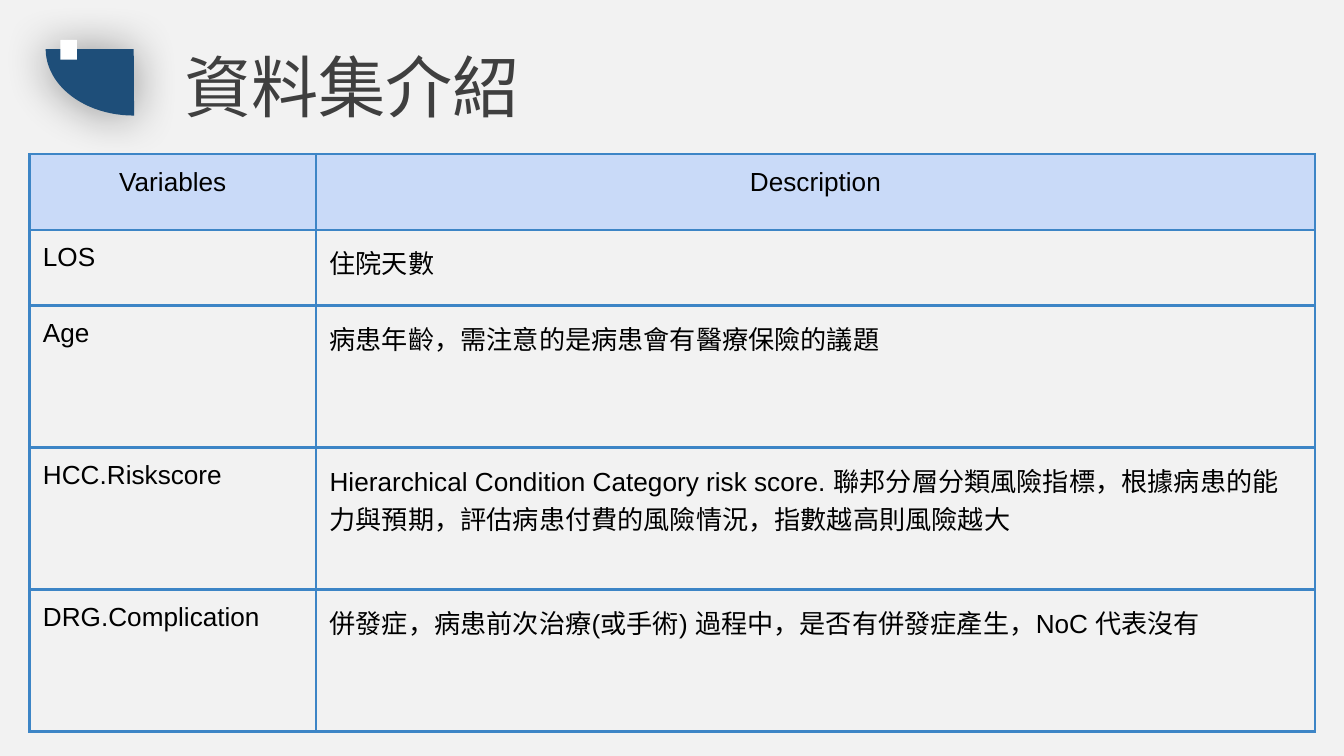
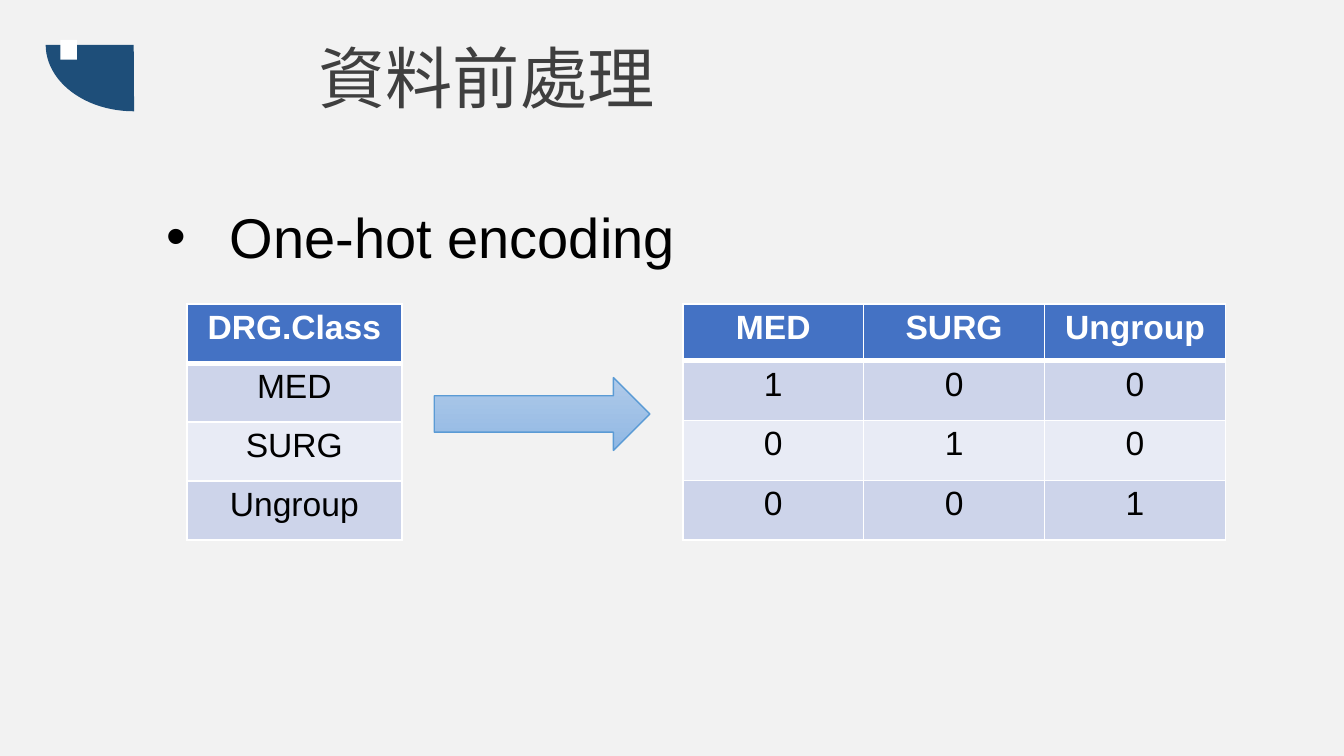
from lxml import etree
from pptx import Presentation
from pptx.dml.color import RGBColor
from pptx.enum.shapes import MSO_SHAPE
from pptx.enum.text import MSO_ANCHOR, PP_ALIGN
from pptx.oxml.ns import qn
from pptx.util import Pt

FONT = "Arial"
HUES = {
    "back": "F2F2F2", "navy": "1E4E79", "white": "FFFFFF", "black": "000000",
    "title": "3F3F3F", "edge": "3D85C6", "pale": "C9DAF8", "head": "4472C4",
    "odd": "CDD4EA", "even": "E8EBF5", "line": "5B9BD5",
    "light": "B0CAE9", "deep": "90B8E4",
}


def hue(name):
    return RGBColor.from_string(HUES[name])


def node(parent, tag, **attrs):
    return etree.SubElement(parent, qn(tag), attrs)


class Deck:
    def __init__(self):
        self.prs = Presentation()
        self.prs.slide_width, self.prs.slide_height = Pt(720), Pt(405)
        self.slide = None

    def start(self):
        self.slide = self.prs.slides.add_slide(self.prs.slide_layouts[6])
        fill = self.slide.background.fill
        fill.solid()
        fill.fore_color.rgb = hue("back")

    def shape(self, kind, box, fill=None, home=None):
        home = home or self.slide.shapes
        item = home.add_shape(kind, *map(Pt, box))
        item.shadow.inherit = False
        item.line.fill.background()
        if fill:
            item.fill.solid()
            item.fill.fore_color.rgb = hue(fill)
        return item

    def badge(self, top, glow=False):
        """Draw the corner mark: glowing, or grouped and flat."""
        home = self.slide.shapes
        if not glow:
            home = home.add_group_shape().shapes
        pie = self.shape(MSO_SHAPE.PIE, (36, top, 71.3, 94.3), "navy", home)
        pie.adjustments[0], pie.adjustments[1] = 107.8, 162
        pie.rotation = 270
        if glow:
            effect = pie._element.spPr.find(qn("a:effectLst"))
            shade = node(effect, "a:outerShdw", blurRad=str(Pt(25)),
                         dist="0", dir="0", algn="ctr", rotWithShape="0")
            tint = node(shade, "a:srgbClr", val=HUES["black"])
            node(tint, "a:alpha", val="40000")
        self.shape(MSO_SHAPE.RECTANGLE, (32.4, 21.4, 8.8, 10.6), "white", home)

    def style(self, para, size, color, bold=False, align=PP_ALIGN.LEFT):
        para.alignment = align
        for run in para.runs:
            run.font.name = FONT
            run.font.size = Pt(size)
            run.font.bold = bold
            run.font.color.rgb = hue(color)

    def text(self, words, box, size, color, align=PP_ALIGN.LEFT,
             anchor=MSO_ANCHOR.TOP, left=5, top=3):
        frame = self.slide.shapes.add_textbox(*map(Pt, box)).text_frame
        frame.word_wrap = True
        frame.vertical_anchor = anchor
        frame.margin_left, frame.margin_right = Pt(left), Pt(5)
        frame.margin_top, frame.margin_bottom = Pt(top), Pt(3)
        frame.text = words
        self.style(frame.paragraphs[0], size, color, align=align)
        return frame.paragraphs[0]

    def title(self, words, top, width, left=5):
        self.text(words, (72, top, width, 49), 36, "title",
                  PP_ALIGN.CENTER, MSO_ANCHOR.MIDDLE, left)

    def bullet(self, words, box, top):
        para = self.text(words, box, 30, "black", top=top)
        props = para._p.get_or_add_pPr()
        props.set("marL", str(Pt(34)))
        props.set("indent", str(-Pt(34)))
        node(node(props, "a:buClr"), "a:srgbClr", val=HUES["black"])
        node(props, "a:buFont", typeface=FONT)
        node(props, "a:buChar", char="•")

    def arrow(self, box):
        item = self.shape(MSO_SHAPE.RIGHT_ARROW, box)
        item.fill.gradient()
        item.fill.gradient_angle = 270
        for stop, name in zip(item.fill.gradient_stops, ("light", "deep")):
            stop.color.rgb = hue(name)
        item.line.color.rgb = hue("line")
        item.line.width = Pt(0.75)

    def edges(self, cell, color, widths):
        """Set the left, right, top and bottom borders of a cell."""
        props = cell._tc.get_or_add_tcPr()
        for side, width in zip("LRTB", widths):
            line = node(props, "a:ln" + side, w=str(Pt(width)))
            node(node(line, "a:solidFill"), "a:srgbClr", val=HUES[color])

    def table(self, data, spot, cols, rows, paint):
        """Add a table; paint(cell, row) dresses each cell."""
        box = (*spot, sum(cols), sum(rows))
        grid = self.slide.shapes.add_table(
            len(rows), len(cols), *map(Pt, box)).table
        grid.first_row = grid.horz_banding = False
        for col, width in zip(grid.columns, cols):
            col.width = Pt(width)
        for row, height in zip(grid.rows, rows):
            row.height = Pt(height)
        for r, line in enumerate(data):
            for c, words in enumerate(line):
                cell = grid.cell(r, c)
                cell.text_frame.text = words
                paint(cell, r)

    def pad(self, cell, side, top):
        cell.margin_left = cell.margin_right = Pt(side)
        cell.margin_top = cell.margin_bottom = Pt(top)

    def plain(self, cell, row):
        self.pad(cell, 7.2, 7.2)
        self.edges(cell, "edge", (1.5,) * 4)
        align = PP_ALIGN.LEFT
        if row:
            cell.fill.background()
        else:
            cell.fill.solid()
            cell.fill.fore_color.rgb = hue("pale")
            align = PP_ALIGN.CENTER
        self.style(cell.text_frame.paragraphs[0], 14, "black", align=align)

    def banded(self, cell, row):
        self.pad(cell, 5.4, 2.7)
        head = row == 0
        self.edges(cell, "white",
                   (1, 1, 3 if row == 1 else 1, 3 if head else 1))
        cell.fill.solid()
        band = "head" if head else "odd" if row % 2 else "even"
        cell.fill.fore_color.rgb = hue(band)
        self.style(cell.text_frame.paragraphs[0], 18,
                   "white" if head else "black", head, PP_ALIGN.CENTER)


FIELDS = [
    ("Variables", "Description"),
    ("LOS", "住院天數"),
    ("Age", "病患年齡，需注意的是病患會有醫療保險的議題"),
    ("HCC.Riskscore",
     "Hierarchical Condition Category risk score. 聯邦分層分類風險指標，"
     "根據病患的能力與預期，評估病患付費的風險情況，指數越高則風險越大"),
    ("DRG.Complication",
     "併發症，病患前次治療(或手術) 過程中，是否有併發症產生，NoC 代表沒有"),
]
KINDS = ["MED", "SURG", "Ungroup"]


def main():
    deck = Deck()

    deck.start()
    deck.badge(-20.9, glow=True)
    deck.title("資料集介紹", 21.6, 233.3)
    deck.table(FIELDS, (15.8, 82.6), (153.6, 535),
               (40.5,) * 2 + (76.1,) * 3, deck.plain)

    deck.start()
    deck.badge(-23.2)
    deck.title("資料前處理", 16.6, 359.3, left=23)
    deck.bullet("One-hot encoding", (84.2, 70.6, 644.4, 332.6), top=43)
    deck.table([[name] for name in ["DRG.Class"] + KINDS],
               (100.1, 163), (115.2,), (31.6,) * 4, deck.banded)
    deck.arrow((232.6, 202.3, 115.5, 39))
    codes = [[str(int(a == b)) for b in KINDS] for a in KINDS]
    deck.table([KINDS] + codes, (365.8, 163), (96.9,) * 3,
               (30.2,) + (32.1,) * 3, deck.banded)

    deck.prs.save("out.pptx")


if __name__ == "__main__":
    main()
